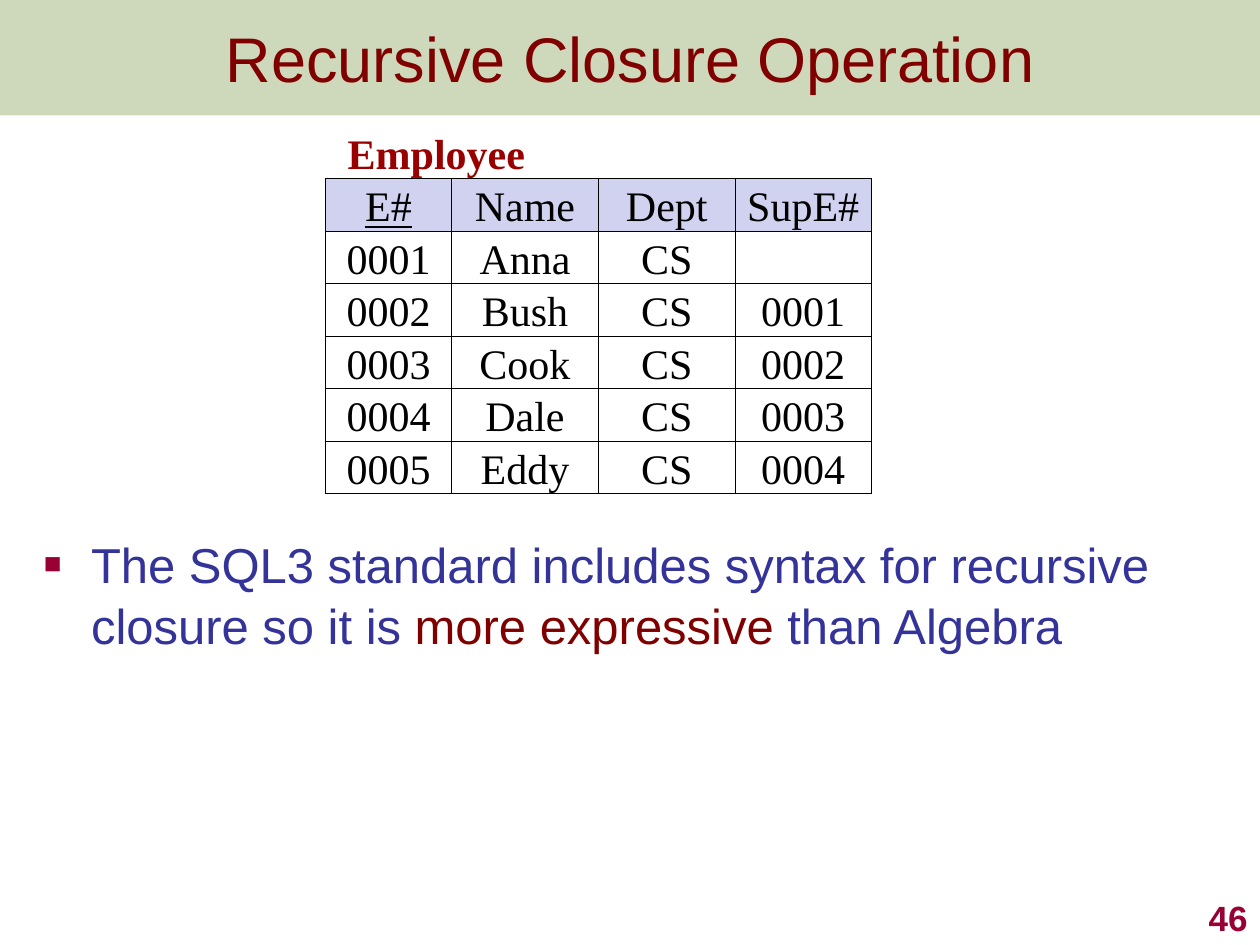
"""Build the slide on the recursive closure operation."""
from dataclasses import dataclass

from lxml import etree
from pptx import Presentation
from pptx import util as u
from pptx.dml import color
from pptx.enum import text
from pptx.oxml import ns

SANS, SERIF = "Arial", "Times New Roman"
MAROON, CRIMSON, BLUE, BLACK = "800000", "990033", "333399", "000000"
HEADER_FILL = "D1D1F0"
COLUMN_WIDTHS = (72, 84, 78, 78)
ROW_HEIGHT = 30
HEADINGS = ("E#", "Name", "Dept", "SupE#")
EMPLOYEES = (
    ("0001", "Anna", "CS", ""),
    ("0002", "Bush", "CS", "0001"),
    ("0003", "Cook", "CS", "0002"),
    ("0004", "Dale", "CS", "0003"),
    ("0005", "Eddy", "CS", "0004"),
)
SIDES = ("L", "R", "T", "B")


@dataclass(frozen=True)
class Style:
    """Font settings of a run."""
    name: str
    size: float
    color: str
    bold: bool = False
    underline: bool = False


def rgb(value: str) -> color.RGBColor:
    """Turn a hex string into a colour."""
    return color.RGBColor.from_string(value)


def add_run(paragraph, words: str, style: Style) -> None:
    """Append one formatted run."""
    run = paragraph.add_run()
    run.text = words
    font = run.font
    font.name, font.size = style.name, u.Pt(style.size)
    font.bold, font.underline = style.bold, style.underline
    font.color.rgb = rgb(style.color)


def add_element(parent, tag: str, **attributes: str):
    """Append a DrawingML element."""
    return etree.SubElement(parent, ns.qn(f"a:{tag}"), attributes)


def add_text_box(slide, left: float, top: float, width: float, height: float):
    """Add a wrapping text box and return its text frame."""
    box = slide.shapes.add_textbox(*map(u.Pt, (left, top, width, height)))
    box.text_frame.word_wrap = True
    return box.text_frame


def set_borders(cell, visible: tuple) -> None:
    """Draw thin black lines on the visible sides only."""
    properties = cell._tc.get_or_add_tcPr()
    for position, side in enumerate(SIDES):
        line = etree.Element(ns.qn(f"a:ln{side}"), w=str(u.Pt(0.5)))
        if side in visible:
            add_element(add_element(line, "solidFill"), "srgbClr", val=BLACK)
        else:
            add_element(line, "noFill")
        properties.insert(position, line)


def fill_cell(cell, words: str, style: Style, fill: str = "", margin: float = 0.72,
              align=text.PP_ALIGN.CENTER, borders: tuple = SIDES) -> None:
    """Write and format one table cell."""
    cell.margin_left = u.Pt(margin)
    cell.margin_right = cell.margin_top = u.Pt(0.72)
    cell.margin_bottom = u.Pt(0)
    cell.vertical_anchor = text.MSO_ANCHOR.BOTTOM
    if fill:
        cell.fill.solid()
        cell.fill.fore_color.rgb = rgb(fill)
    else:
        cell.fill.background()
    set_borders(cell, borders)
    paragraph = cell.text_frame.paragraphs[0]
    paragraph.alignment = align
    if words:
        add_run(paragraph, words, style)


def add_title(slide) -> None:
    """Format the title as a translucent band."""
    title = slide.shapes.title
    title.left, title.top, title.width, title.height = map(u.Pt, (0, 0, 720, 66))
    title.fill.solid()
    title.fill.fore_color.rgb = rgb("5F8422")
    add_element(title.fill._xPr.find(".//" + ns.qn("a:srgbClr")), "alpha", val="30000")
    frame = title.text_frame
    frame.auto_size = text.MSO_AUTO_SIZE.NONE
    frame.vertical_anchor = text.MSO_ANCHOR.MIDDLE
    frame.paragraphs[0].alignment = text.PP_ALIGN.CENTER
    add_run(frame.paragraphs[0], "Recursive Closure Operation", Style(SANS, 36, MAROON))


def add_employee_table(slide) -> None:
    """Add the captioned employee table."""
    rows = (HEADINGS, *EMPLOYEES)
    row_count = len(rows) + 1
    table = slide.shapes.add_table(
        row_count, len(HEADINGS), u.Pt(186), u.Pt(72),
        u.Pt(sum(COLUMN_WIDTHS)), u.Pt(ROW_HEIGHT * row_count)).table
    table.first_row = table.horz_banding = False
    for column, width in zip(table.columns, COLUMN_WIDTHS):
        column.width = u.Pt(width)
    for row in table.rows:
        row.height = u.Pt(ROW_HEIGHT)
    table.cell(0, 0).merge(table.cell(0, len(HEADINGS) - 1))
    caption = Style(SERIF, 24, "990000", bold=True)
    for index in range(len(HEADINGS)):
        fill_cell(table.cell(0, index), "" if index else "Employee", caption,
                  margin=12.72, align=text.PP_ALIGN.LEFT, borders=("B",))
    for row_index, row in enumerate(rows, start=1):
        for index, words in enumerate(row):
            is_key = row_index == 1 and index == 0
            fill_cell(table.cell(row_index, index), words,
                      Style(SERIF, 24, BLACK, underline=is_key),
                      HEADER_FILL if row_index == 1 else "")


def add_statement(slide) -> None:
    """Add the bulleted statement."""
    frame = add_text_box(slide, 18, 300, 684, 222)
    frame.margin_right = 0
    paragraph = frame.paragraphs[0]
    paragraph.line_spacing = 1.05
    properties = paragraph._p.get_or_add_pPr()
    properties.set("marL", str(u.Pt(27)))
    properties.set("indent", str(u.Pt(-27)))
    add_element(add_element(properties, "buClr"), "srgbClr", val=CRIMSON)
    add_element(properties, "buSzPct", val="60000")
    add_element(properties, "buFont", typeface=SANS)
    add_element(properties, "buChar", char="■")
    for words, shade in (
        ("The SQL3 standard includes syntax for recursive closure so it is ", BLUE),
        ("more expressive ", MAROON),
        ("than Algebra", BLUE),
    ):
        add_run(paragraph, words, Style(SANS, 28, shade))


def add_page_number(slide) -> None:
    """Add the page number in the bottom right corner."""
    frame = add_text_box(slide, 570, 504, 150, 36)
    frame.vertical_anchor = text.MSO_ANCHOR.BOTTOM
    frame.paragraphs[0].alignment = text.PP_ALIGN.RIGHT
    add_run(frame.paragraphs[0], "46", Style(SANS, 20, CRIMSON, bold=True))


def main() -> None:
    """Build and save the presentation."""
    presentation = Presentation()
    presentation.slide_width, presentation.slide_height = u.Pt(720), u.Pt(540)
    slide = presentation.slides.add_slide(presentation.slide_layouts[5])
    add_statement(slide)
    add_page_number(slide)
    add_title(slide)
    add_employee_table(slide)
    presentation.save("out.pptx")


if __name__ == "__main__":
    main()
